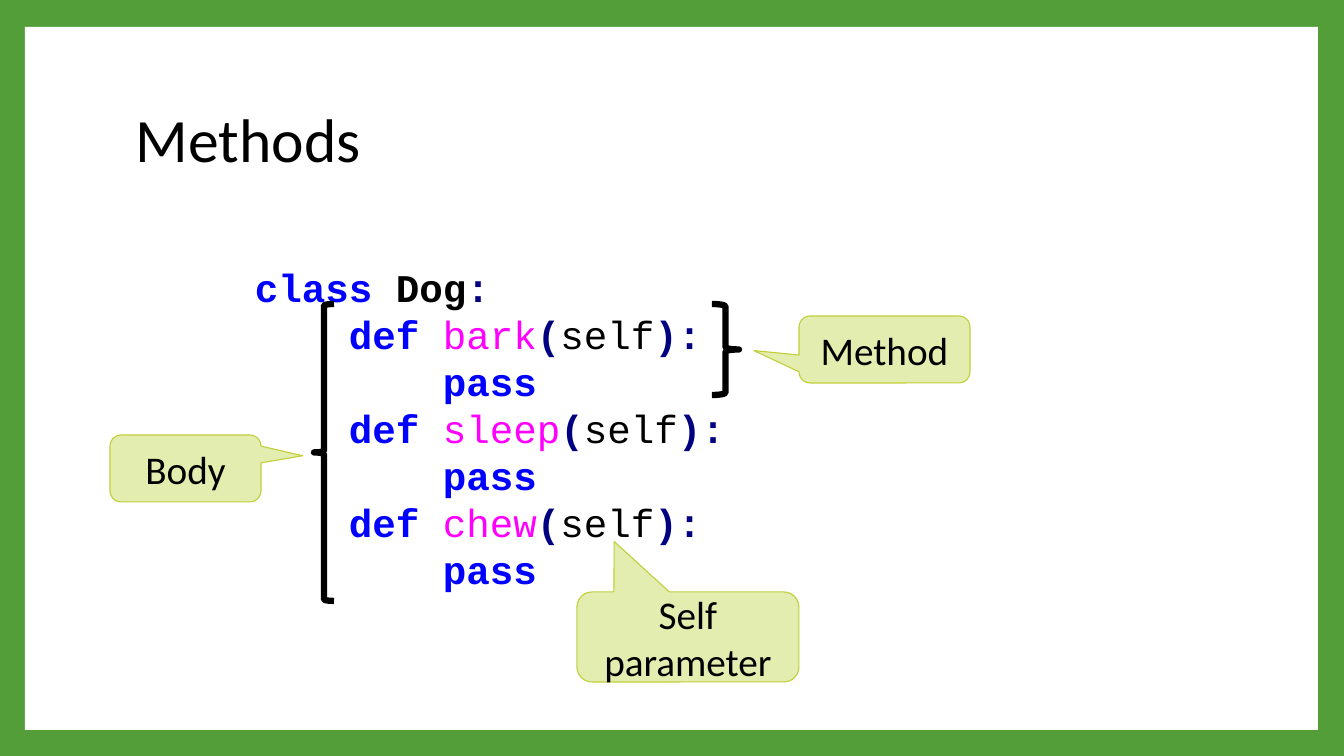
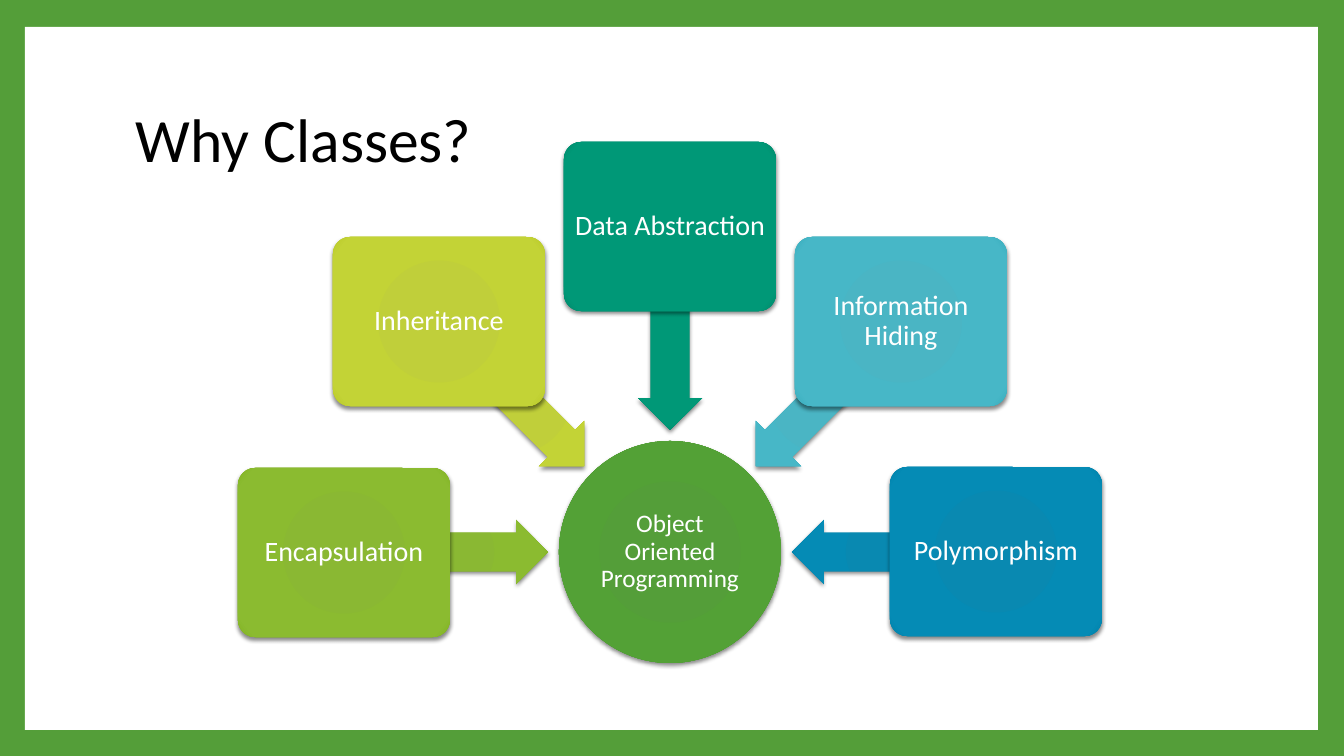
from dataclasses import dataclass
from math import cos, radians, sin

from pptx import Presentation
from pptx import util as u
from pptx.dml.color import RGBColor
from pptx.enum import shapes, text
from pptx.oxml import parse_xml
from pptx.oxml.ns import nsdecls, qn

WIDE, HIGH = 1344, 756
SCALE = u.Inches(7.5) / HIGH
KIND = shapes.MSO_SHAPE


@dataclass(frozen=True)
class Theme:
    frame: str = "549E39"
    paper: str = "FFFFFF"
    ink: str = "000000"
    note: str = "E4EDB0"
    edge: str = "C0CF3A"
    font: str = "Calibri"
    mono: str = "Courier New"
    title: int = 44
    large: int = 28
    card: int = 20
    hub: int = 18


THEME = Theme()


@dataclass(frozen=True)
class Box:
    left: int
    top: int
    width: int
    height: int

    @classmethod
    def around(cls, x: float, y: float, width: int, height: int) -> "Box":
        return cls(round(x - width / 2), round(y - height / 2), width, height)

    def emu(self) -> list[int]:
        return [px(n) for n in (self.left, self.top, self.width, self.height)]


@dataclass(frozen=True)
class Token:
    color: str
    bold: bool


@dataclass(frozen=True)
class Note:
    label: str
    box: Box
    tip: tuple[float, float]


@dataclass(frozen=True)
class Brace:
    kind: int
    box: Box


@dataclass(frozen=True)
class Blend:
    """Colours at the start, at 90 % and at the end of a radial fill."""
    start: str
    middle: str
    end: str


@dataclass(frozen=True)
class Card:
    label: str
    blend: Blend


TOKENS = {
    "key": Token("0000FF", True),
    "type": Token("000000", True),
    "mark": Token("000080", True),
    "name": Token("FF00FF", False),
    "plain": Token("000000", False),
}

NOTES = [
    Note("Body", Box(110, 435, 151, 67), (0.776, -0.189)),
    Note("Method", Box(799, 316, 171, 67), (-0.764, 0.017)),
    Note("Self parameter", Box(577, 592, 222, 90), (-0.332, -1.06)),
]

BRACES = [
    Brace(KIND.LEFT_BRACE, Box(314, 304, 20, 297)),
    Brace(KIND.RIGHT_BRACE, Box(712, 304, 27, 91)),
]

HUB = Card("Object Oriented Programming", Blend("549E39", "53A136", "48992B"))
CARDS = [
    Card("Encapsulation", Blend("8AB833", "8BBB30", "81B322")),
    Card("Inheritance", Blend("C0CF3A", "C3D336", "B9C927")),
    Card("Data Abstraction", Blend("029676", "009877", "008A6C")),
    Card("Information Hiding", Blend("4AB5C4", "47B7C7", "38ADBD")),
    Card("Polymorphism", Blend("0989B1", "058BB5", "0081A9")),
]


def px(count: float) -> int:
    return round(count * SCALE)


def rgb(code: str) -> RGBColor:
    return RGBColor.from_string(code)


def style(run, size: int, color: str, font: str = THEME.font, bold: bool = False) -> None:
    run.font.size = u.Pt(size)
    run.font.name = font
    run.font.bold = bold
    run.font.color.rgb = rgb(color)


def write(shape, label: str, size: int, color: str, inset: int | None = None,
          align=text.PP_ALIGN.CENTER, spacing: float | None = None) -> None:
    frame = shape.text_frame
    frame.text = label
    frame.word_wrap = True
    frame.vertical_anchor = text.MSO_ANCHOR.MIDDLE
    if inset is not None:
        frame.margin_left = frame.margin_right = px(inset)
        frame.margin_top = frame.margin_bottom = px(inset)
    line = frame.paragraphs[0]
    line.alignment = align
    line.line_spacing = spacing
    style(line.runs[0], size, color)


def draw(slide, kind: int, box: Box, fill: str | None = None,
         edge: str | None = None, weight: float = 0.79):
    shape = slide.shapes.add_shape(kind, *box.emu())
    shape.shadow.inherit = False
    if fill:
        shape.fill.solid()
        shape.fill.fore_color.rgb = rgb(fill)
    else:
        shape.fill.background()
    if edge:
        shape.line.color.rgb = rgb(edge)
        shape.line.width = u.Pt(weight)
    else:
        shape.line.fill.background()
    return shape


def glow(shape, blend: Blend) -> None:
    """Give the shape a radial fill and a soft shadow below."""
    stops = "".join(
        f'<a:gs pos="{at * 1000}"><a:srgbClr val="{color}"/></a:gs>'
        for at, color in ((0, blend.start), (90, blend.middle), (100, blend.end)))
    props = shape.element.spPr
    props.replace(props.find(qn("a:solidFill")), parse_xml(
        f'<a:gradFill {nsdecls("a")} rotWithShape="1"><a:gsLst>{stops}</a:gsLst>'
        '<a:path path="circle"><a:fillToRect l="100000" t="100000" r="100000" '
        'b="100000"/></a:path></a:gradFill>'))
    props.find(qn("a:effectLst")).append(parse_xml(
        f'<a:outerShdw {nsdecls("a")} blurRad="{u.Pt(3)}" dist="{u.Pt(2)}" '
        'dir="5400000" rotWithShape="0"><a:srgbClr val="000000">'
        '<a:alpha val="45000"/></a:srgbClr></a:outerShdw>'))


def start(deck, title: str):
    """Add a slide with the white panel and its title."""
    slide = deck.slides.add_slide(deck.slide_layouts[6])
    draw(slide, KIND.RECTANGLE, Box(25, 27, 1293, 703), THEME.paper)
    head = slide.shapes.add_textbox(*Box(126, 68, 1089, 149).emu())
    write(head, title, THEME.title, THEME.ink, align=text.PP_ALIGN.LEFT, spacing=0.9)
    return slide


def method(name: str) -> list[list[tuple[str, str]]]:
    """Return the two code lines of an empty method."""
    return [
        [("    ", "plain"), ("def ", "key"), (name, "name"),
         ("(", "mark"), ("self", "plain"), ("):", "mark")],
        [("        ", "plain"), ("pass", "key")],
    ]


def code(slide) -> None:
    lines = [[("class ", "key"), ("Dog", "type"), (":", "mark")]]
    for name in ("bark", "sleep", "chew"):
        lines += method(name)
    frame = slide.shapes.add_textbox(*Box(245, 258, 672, 343).emu()).text_frame
    frame.word_wrap = True
    for i, line in enumerate(lines):
        para = frame.add_paragraph() if i else frame.paragraphs[0]
        for part, kind in line:
            run = para.add_run()
            run.text = part
            token = TOKENS[kind]
            style(run, THEME.large, token.color, THEME.mono, token.bold)


def methods(deck) -> None:
    slide = start(deck, "Methods")
    code(slide)
    for brace in BRACES:
        draw(slide, brace.kind, brace.box, edge=THEME.ink, weight=4.5)
    for note in NOTES:
        shape = draw(slide, KIND.ROUNDED_RECTANGULAR_CALLOUT, note.box,
                     THEME.note, THEME.edge)
        shape.adjustments[0], shape.adjustments[1] = note.tip
        write(shape, note.label, THEME.large, THEME.ink)


def classes(deck) -> None:
    """Draw the hub with cards at equal angles, each with an arrow inward."""
    slide = start(deck, "Why Classes?")
    x, y = 670, 552
    reach, middle = 326, 224

    def place(kind: int, box: Box, card: Card):
        shape = draw(slide, kind, box, card.blend.start)
        glow(shape, card.blend)
        return shape

    hub = place(KIND.OVAL, Box.around(x, y, 222, 222), HUB)
    write(hub, HUB.label, THEME.hub, THEME.paper, 1, spacing=0.9)
    step = 180 / (len(CARDS) - 1)
    for i, card in enumerate(CARDS):
        turn = 180 + step * i
        dx, dy = cos(radians(turn)), sin(radians(turn))
        arrow = place(KIND.LEFT_ARROW,
                      Box.around(x + middle * dx, y + middle * dy, 204, 64), card)
        arrow.adjustments[0], arrow.adjustments[1] = 0.6, 0.5
        arrow.rotation = turn % 360
        tile = place(KIND.ROUNDED_RECTANGLE,
                     Box.around(x + reach * dx, y + reach * dy, 212, 169), card)
        tile.adjustments[0] = 0.1
        write(tile, card.label, THEME.card, THEME.paper, 4, spacing=0.9)


def main() -> None:
    deck = Presentation()
    deck.slide_width, deck.slide_height = px(WIDE), px(HIGH)
    back = deck.slide_master.background.fill
    back.solid()
    back.fore_color.rgb = rgb(THEME.frame)
    methods(deck)
    classes(deck)
    deck.save("out.pptx")


if __name__ == "__main__":
    main()
